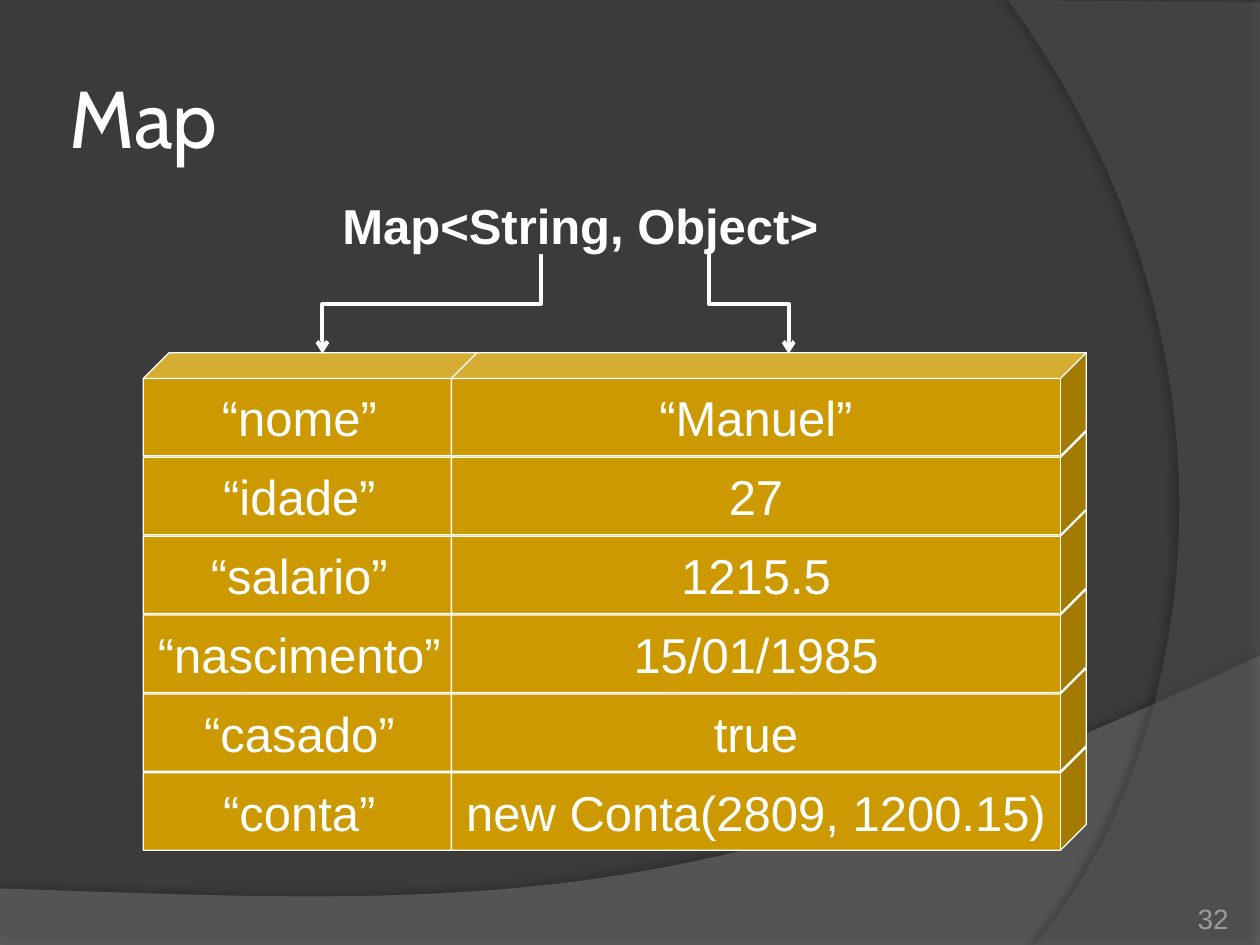
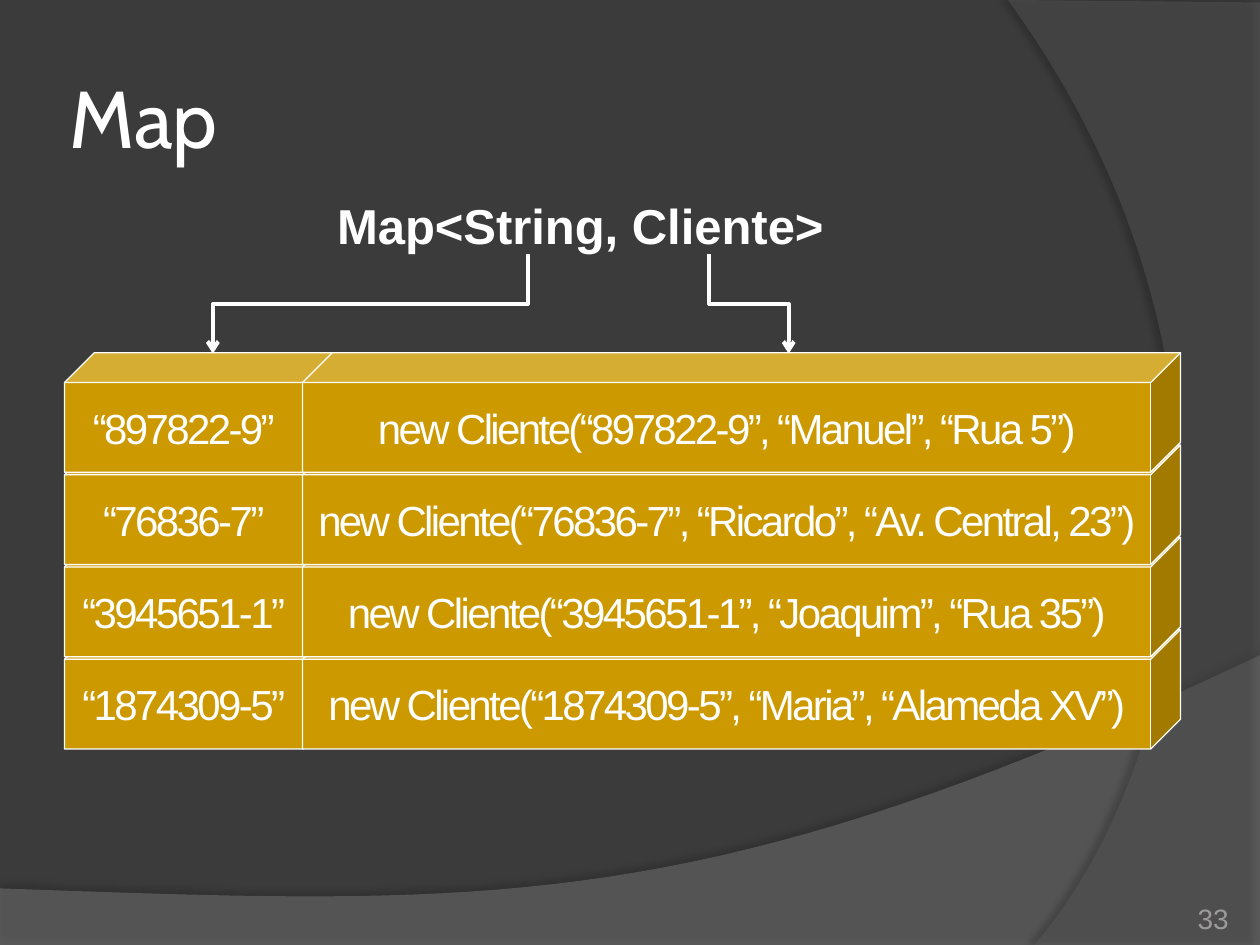
from dataclasses import dataclass

from lxml.etree import SubElement
from pptx import Presentation
from pptx.dml.color import RGBColor
from pptx.enum.shapes import MSO_CONNECTOR as Connector, MSO_SHAPE as Preset
from pptx.enum.text import MSO_ANCHOR as Anchor, MSO_AUTO_SIZE as AutoSize, PP_ALIGN as Align
from pptx.oxml.ns import qn
from pptx.util import Cm, Pt


# Theme
@dataclass(frozen=True)
class Theme:
    background: RGBColor = RGBColor(0x3B, 0x3B, 0x3B)
    lower_band: RGBColor = RGBColor(0x7F, 0x7F, 0x7F)
    side_band: RGBColor = RGBColor(0x5E, 0x5E, 0x5E)
    cube: RGBColor = RGBColor(0xCC, 0x99, 0x00)
    white: RGBColor = RGBColor(0xFF, 0xFF, 0xFF)
    number: RGBColor = RGBColor(0x9D, 0x9B, 0x9A)
    title_font: str = "Cabin"
    body_font: str = "Arial"
    title_size: int = 46
    heading_size: int = 28
    number_size: int = 16
    cube_line: float = 0.75
    arrow_line: float = 2.25


THEME = Theme()
TITLE_ONLY = 5
HEADING_CENTRE = 11.7
STACK_TOP = 7.11
ARROW_TOP, ARROW_BOTTOM = 5.13, 7.13


# Repeated elements; every length is in centimetres
@dataclass(frozen=True)
class Band:
    before: list[tuple[float, float]]
    curve: list[tuple[float, float]]
    color: RGBColor
    opacity: int
    shadow_opacity: int
    shadow_distance: float
    shadow_angle: int


@dataclass(frozen=True)
class Column:
    left: float
    width: float


@dataclass(frozen=True)
class Arrow:
    start: float
    end: float


@dataclass(frozen=True)
class MapSlide:
    number: int
    heading: str
    heading_width: float
    arrows: list[Arrow]
    columns: tuple[Column, Column]
    cube_height: float
    pitch: float
    text_size: int
    letter_spacing: float
    entries: list[tuple[str, str]]


BANDS = [
    Band([(0, 17.91), (0, 19.05), (25.4, 19.05), (25.4, 13.21)],
         [(14.2, 18.52), (9.93, 18.26), (0, 17.91)],
         THEME.lower_band, 45, 35, 3.5, 270),
    Band([(25.4, 0.05), (25.4, 19.05), (20.85, 19.05)],
         [(23.75, 15.72), (25.86, 7.62), (20.32, 0)],
         THEME.side_band, 40, 45, 4, 180),
]

SLIDES = [
    MapSlide(32, "Map<String, Object>", 10.8,
             [Arrow(10.9, 6.5), Arrow(14.3, 15.9)],
             (Column(2.89, 6.81), Column(9.1, 12.8)), 2.08, 1.59, 28, 0,
             [("“nome”", "“Manuel”"),
              ("“idade”", "27"),
              ("“salario”", "1215.5"),
              ("“nascimento”", "15/01/1985"),
              ("“casado”", "true"),
              ("“conta”", "new Conta(2809, 1200.15)")]),
    MapSlide(33, "Map<String, Cliente>", 13.2,
             [Arrow(14.3, 15.9), Arrow(10.64, 4.29)],
             (Column(1.3, 5.41), Column(6.1, 17.7)), 2.41, 1.86, 24, -1.5,
             [("“897822-9”", "new Cliente(“897822-9”, “Manuel”, “Rua 5”)"),
              ("“76836-7”", "new Cliente(“76836-7”, “Ricardo”, “Av. Central, 23”)"),
              ("“3945651-1”", "new Cliente(“3945651-1”, “Joaquim”, “Rua 35”)"),
              ("“1874309-5”", "new Cliente(“1874309-5”, “Maria”, “Alameda XV”)")]),
]


# Text
def write(shape, text: str, size: float, color: RGBColor, align: Align, anchor: Anchor,
          font: str = THEME.body_font, bold: bool = False, wrap: bool = True,
          inset: tuple[float, float] = (0.25, 0.13), letter_spacing: float = 0) -> None:
    frame = shape.text_frame
    frame.auto_size = AutoSize.NONE
    frame.word_wrap = wrap
    frame.vertical_anchor = anchor
    frame.margin_left = frame.margin_right = Cm(inset[0])
    frame.margin_top = frame.margin_bottom = Cm(inset[1])
    paragraph = frame.paragraphs[0]
    paragraph.alignment = align
    run = paragraph.add_run()
    run.text = text
    run.font.name = font
    run.font.size = Pt(size)
    run.font.bold = bold
    run.font.color.rgb = color
    if letter_spacing:
        run._r.get_or_add_rPr().set("spc", str(round(letter_spacing * 100)))


# Background bands, shared through the layout
def bezier(start: tuple[float, float], curve: list[tuple[float, float]],
           steps: int = 40) -> list[tuple[float, float]]:
    points = [start, *curve]
    result = []
    for step in range(1, steps + 1):
        t = step / steps
        weights = ((1 - t) ** 3, 3 * t * (1 - t) ** 2, 3 * t * t * (1 - t), t ** 3)
        result.append(tuple(sum(w * p[axis] for w, p in zip(weights, points))
                            for axis in (0, 1)))
    return result


def add_band(slide, layout, band: Band) -> None:
    outline = band.before + bezier(band.before[-1], band.curve)
    points = [(Cm(x), Cm(y)) for x, y in outline]
    builder = slide.shapes.build_freeform(*points[0])
    builder.add_line_segments(points[1:], close=True)
    shape = builder.convert_to_shape()
    shape.fill.solid()
    shape.fill.fore_color.rgb = band.color
    shape.line.fill.background()
    properties = shape.element.spPr
    color = properties.find(qn("a:solidFill")).find(qn("a:srgbClr"))
    SubElement(color, qn("a:alpha"), val=str(band.opacity * 1000))
    effects = SubElement(properties, qn("a:effectLst"))
    shadow = SubElement(effects, qn("a:outerShdw"), blurRad=str(Pt(4)),
                        dist=str(Pt(band.shadow_distance)),
                        dir=str(band.shadow_angle * 60000), algn="ctr", rotWithShape="0")
    shadow_color = SubElement(shadow, qn("a:srgbClr"), val="000000")
    SubElement(shadow_color, qn("a:alpha"), val=str(band.shadow_opacity * 1000))
    layout.shapes.element.append(shape.element)


# Slide parts
def add_title(slide) -> None:
    title = slide.shapes.title
    title.left, title.top, title.width, title.height = Cm(1.27), Cm(0.76), Cm(22.43), Cm(3.18)
    write(title, "Map", THEME.title_size, THEME.white, Align.LEFT, Anchor.MIDDLE,
          font=THEME.title_font, inset=(0.13, 0.13))


def add_number(slide, number: int) -> None:
    box = slide.shapes.add_textbox(Cm(22.66), Cm(17.83), Cm(2.11), Cm(1.02))
    write(box, str(number), THEME.number_size, THEME.number, Align.RIGHT, Anchor.BOTTOM,
          inset=(0, 0))


def add_stack(slide, content: MapSlide) -> None:
    group = slide.shapes.add_group_shape()
    # The lowest row comes first, so that each row covers the top of the one below
    for row, entry in reversed(list(enumerate(content.entries))):
        top = STACK_TOP + row * content.pitch
        for column, text in zip(content.columns, entry):
            cube = group.shapes.add_shape(Preset.CUBE, Cm(column.left), Cm(top),
                                          Cm(column.width), Cm(content.cube_height))
            cube.adjustments[0] = 0.25
            cube.shadow.inherit = False
            cube.fill.solid()
            cube.fill.fore_color.rgb = THEME.cube
            cube.line.color.rgb = THEME.white
            cube.line.width = Pt(THEME.cube_line)
            write(cube, text, content.text_size, THEME.white, Align.CENTER, Anchor.MIDDLE,
                  wrap=False, letter_spacing=content.letter_spacing)


def add_heading(slide, content: MapSlide) -> None:
    box = slide.shapes.add_textbox(Cm(HEADING_CENTRE - content.heading_width / 2), Cm(3.73),
                                   Cm(content.heading_width), Cm(1.6))
    write(box, content.heading, THEME.heading_size, THEME.white, Align.CENTER, Anchor.MIDDLE,
          bold=True)


def add_arrow(slide, arrow: Arrow) -> None:
    # An elbow leaves sideways; a quarter turn about its centre makes it leave downwards
    centre_x = (arrow.start + arrow.end) / 2
    centre_y = (ARROW_TOP + ARROW_BOTTOM) / 2
    half_drop = (ARROW_BOTTOM - ARROW_TOP) / 2
    half_shift = (arrow.end - arrow.start) / 2
    connector = slide.shapes.add_connector(
        Connector.ELBOW, Cm(centre_x - half_drop), Cm(centre_y + half_shift),
        Cm(centre_x + half_drop), Cm(centre_y - half_shift))
    connector.line.color.rgb = THEME.white
    connector.line.width = Pt(THEME.arrow_line)
    properties = connector.element.spPr
    properties.find(qn("a:xfrm")).set("rot", str(90 * 60000))
    SubElement(properties.find(qn("a:ln")), qn("a:tailEnd"), type="arrow")
    SubElement(properties, qn("a:effectLst"))


def main() -> None:
    presentation = Presentation()
    presentation.slide_width, presentation.slide_height = Cm(25.4), Cm(19.05)
    layout = presentation.slide_layouts[TITLE_ONLY]
    layout.background.fill.solid()
    layout.background.fill.fore_color.rgb = THEME.background
    slides = [presentation.slides.add_slide(layout) for _ in SLIDES]
    for band in BANDS:
        add_band(slides[0], layout, band)
    for slide, content in zip(slides, SLIDES):
        add_title(slide)
        add_number(slide, content.number)
        add_stack(slide, content)
        add_heading(slide, content)
        for arrow in content.arrows:
            add_arrow(slide, arrow)
    presentation.save("out.pptx")


if __name__ == "__main__":
    main()
